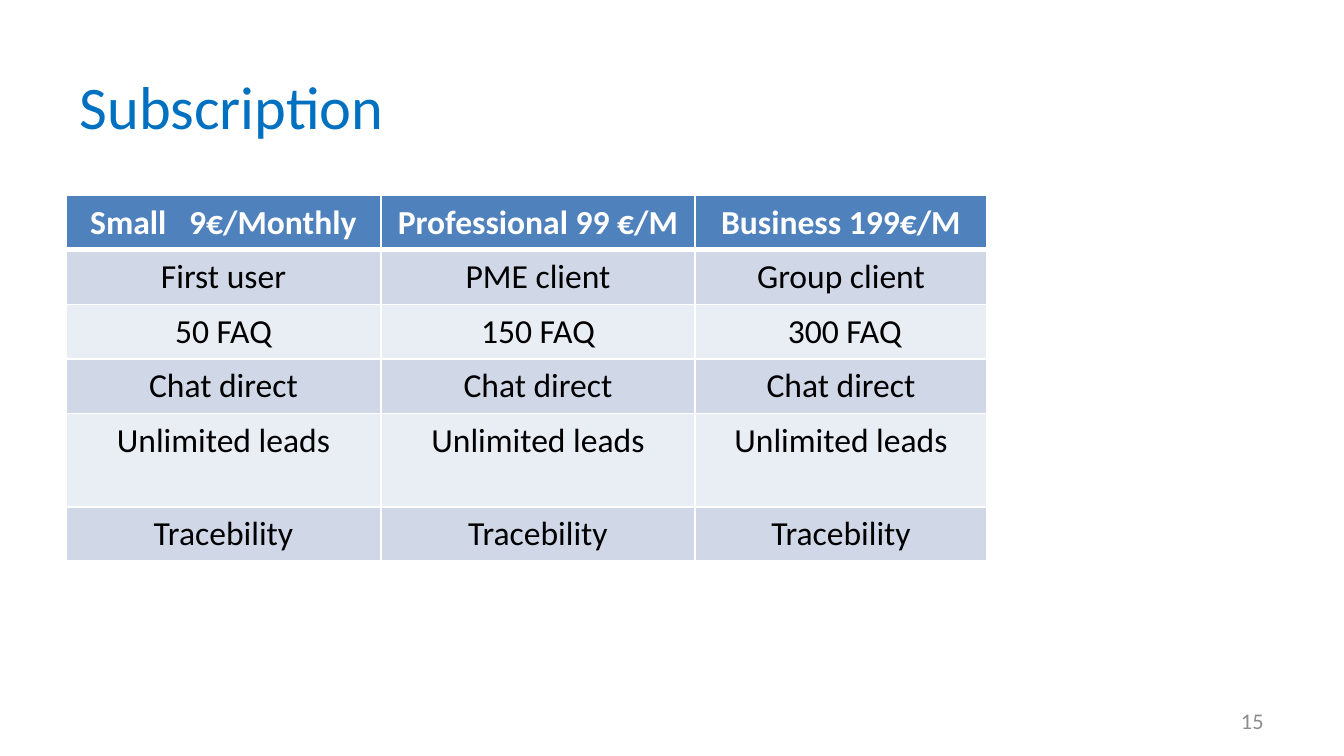
from lxml import etree
from pptx import Presentation
from pptx.dml.color import RGBColor
from pptx.enum.text import MSO_ANCHOR, PP_ALIGN
from pptx.oxml.ns import qn
from pptx.util import Pt

LEFT, MID, RIGHT = PP_ALIGN.LEFT, PP_ALIGN.CENTER, PP_ALIGN.RIGHT
CENTER = MSO_ANCHOR.MIDDLE

TITLE = "Subscription"
PAGE = "15"
ROWS = [
    ("Small   9€/Monthly", "Professional 99 €/M", "Business 199€/M"),
    ("First user", "PME client", "Group client"),
    ("50 FAQ", "150 FAQ", " 300 FAQ"),
    ("Chat direct",) * 3,
    ("Unlimited leads",) * 3,
    ("Tracebility",) * 3,
]
COLORS = {
    "title": "0070C0",
    "page": "8C8C8C",
    "head": "4F81BD",
    "odd": "D0D8E8",
    "even": "E9EDF4",
    "white": "FFFFFF",
    "black": "000000",
}
FONT = "Calibri"
WIDTHS = [168.5, 168.5, 156.2]
HEIGHTS = [29.2, 29.2, 29.2, 29.2, 50, 29.2]
EDGE = 35.5


def color(name):
    return RGBColor.from_string(COLORS[name])


def write(frame, text, size, tone, align, bold=False):
    frame.text = text
    para = frame.paragraphs[0]
    para.alignment = align
    font = para.runs[0].font
    font.name, font.size, font.bold = FONT, Pt(size), bold
    font.color.rgb = color(tone)


def border(cell, head, under):
    props = cell._tc.get_or_add_tcPr()
    sizes = {"lnL": 1, "lnR": 1, "lnT": 3 if under else 1, "lnB": 3 if head else 1}
    for pos, (tag, size) in enumerate(sizes.items()):
        line = etree.Element(qn("a:" + tag), w=str(Pt(size)))
        fill = etree.SubElement(line, qn("a:solidFill"))
        etree.SubElement(fill, qn("a:srgbClr"), val=COLORS["white"])
        props.insert(pos, line)


def main():
    deck = Presentation()
    deck.slide_width, deck.slide_height = Pt(720), Pt(405)
    slide = deck.slides.add_slide(deck.slide_layouts[5])

    title = slide.shapes.title
    title.left, title.top = Pt(EDGE), Pt(34)
    title.width, title.height = Pt(sum(WIDTHS)), Pt(45)
    write(title.text_frame, TITLE, 32.4, "title", LEFT)
    title.text_frame.vertical_anchor = CENTER

    page = slide.shapes.add_textbox(Pt(516), Pt(375), Pt(168), Pt(21.6))
    page.text_frame.word_wrap = True
    page.text_frame.vertical_anchor = CENTER
    write(page.text_frame, PAGE, 12, "page", RIGHT)

    table = slide.shapes.add_table(
        len(ROWS), len(WIDTHS), Pt(EDGE), Pt(104.7),
        Pt(sum(WIDTHS)), Pt(sum(HEIGHTS)),
    ).table
    for col, width in zip(table.columns, WIDTHS):
        col.width = Pt(width)
    for row, height in zip(table.rows, HEIGHTS):
        row.height = Pt(height)

    for r, row in enumerate(ROWS):
        head = r == 0
        shade = "head" if head else "odd" if r % 2 else "even"
        tone = "white" if head else "black"
        for c, text in enumerate(row):
            cell = table.cell(r, c)
            write(cell.text_frame, text, 18, tone, MID, head)
            cell.fill.solid()
            cell.fill.fore_color.rgb = color(shade)
            border(cell, head, r == 1)

    deck.save("out.pptx")


if __name__ == "__main__":
    main()
